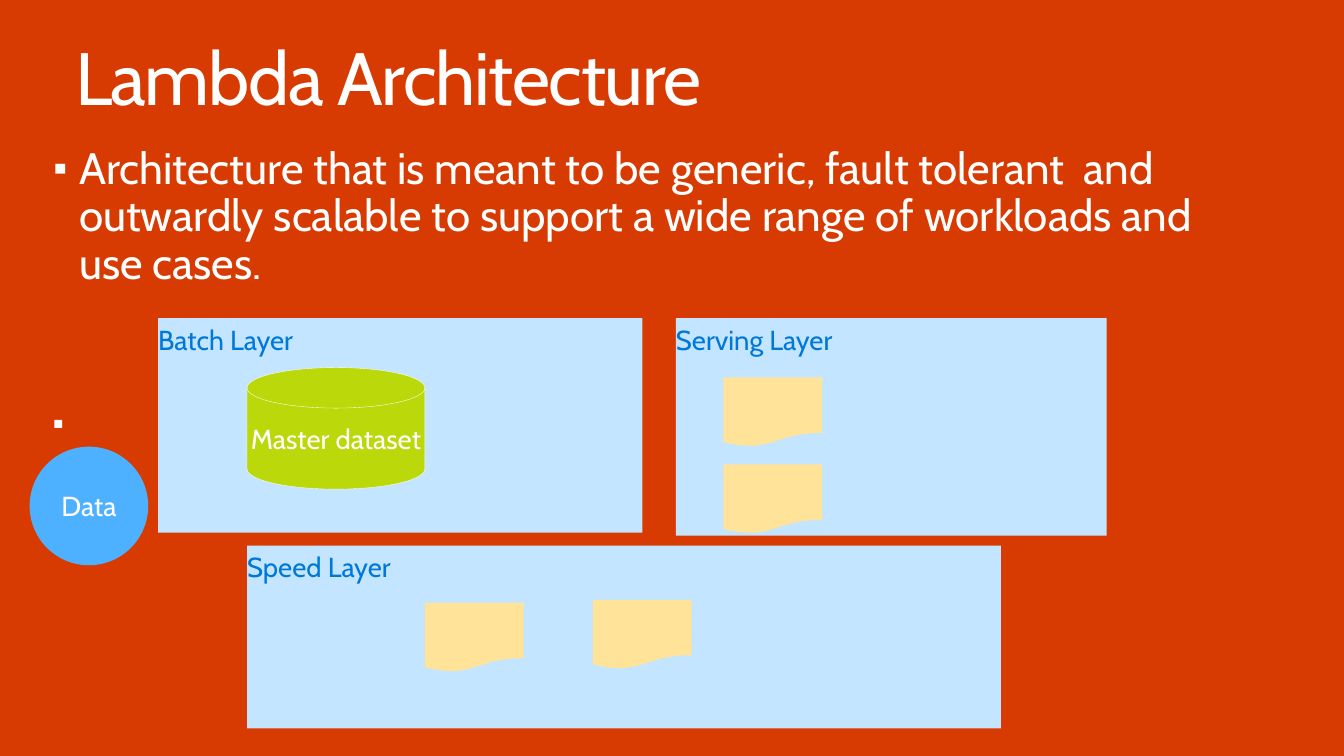
from lxml import etree
from pptx import Presentation
from pptx import util as u
from pptx.dml.color import RGBColor
from pptx.enum import shapes, text
from pptx.oxml.ns import qn

COLUMNS, ROWS = 136, 76.5  # grid of tenths of an inch
WHITE, ORANGE, BLUE = "FFFFFF", "D83B01", "0078D7"
PALE_BLUE, SKY, LIME, SAND = "C4E5FF", "4EB1FF", "BAD80A", "FFE399"


def color(value):
    return RGBColor.from_string(value)


def grid(*cells):
    return [u.Inches(cell / 10) for cell in cells]


class Board:
    """Holds the style and the slide being drawn."""

    font = "Cabin"

    def __init__(self, prs, background):
        self.slide = prs.slides.add_slide(prs.slide_layouts[6])
        fill = self.slide.background.fill
        fill.solid()
        fill.fore_color.rgb = color(background)

    def label(self, frame, words, size, ink, insets):
        frame.word_wrap = True
        frame.margin_left = frame.margin_right = u.Inches(insets[0])
        frame.margin_top = frame.margin_bottom = u.Inches(insets[1])
        line = frame.paragraphs[0]
        line.text = words
        line.font.name = self.font
        line.font.size = u.Pt(size)
        line.font.color.rgb = color(ink)
        return line

    def heading(self, place, words, size):
        box = self.slide.shapes.add_textbox(*grid(*place))
        line = self.label(box.text_frame, words, size, WHITE, (0.16, 0.1))
        line.line_spacing = 0.9
        return line

    def title(self, place, words):
        line = self.heading(place, words, 54)
        line.runs[0]._r.get_or_add_rPr().set("spc", "-100")

    def bullet(self, place, words):
        props = self.heading(place, words, 32)._p.get_or_add_pPr()
        props.set("marL", str(u.Inches(0.64)))
        props.set("indent", str(u.Inches(-0.26)))
        # Bullet marks must stand before the default run properties
        defaults = props.find(qn("a:defRPr"))
        ink = etree.Element(qn("a:buClr"))
        etree.SubElement(ink, qn("a:srgbClr"), val=WHITE)
        marks = (
            ink,
            etree.Element(qn("a:buSzPct"), val="90000"),
            etree.Element(qn("a:buFont"), typeface="Arial"),
            etree.Element(qn("a:buChar"), char="▪"),
        )
        for mark in marks:
            defaults.addprevious(mark)

    def block(self, kind, place, fill, border=None):
        block = self.slide.shapes.add_shape(kind, *grid(*place))
        block.shadow.inherit = False
        block.fill.solid()
        block.fill.fore_color.rgb = color(fill)
        if border:
            block.line.color.rgb = color(border)
            block.line.width = u.Pt(0.25)
        else:
            block.line.fill.background()
        return block

    def layer(self, place, name):
        block = self.block(shapes.MSO_SHAPE.RECTANGLE, place, PALE_BLUE)
        block.text_frame.vertical_anchor = text.MSO_ANCHOR.TOP
        line = self.label(block.text_frame, name, 20, BLUE, (0, 0.05))
        line.alignment = text.PP_ALIGN.LEFT

    def node(self, kind, place, name, fill, border=None):
        block = self.block(kind, place, fill, border)
        block.text_frame.vertical_anchor = text.MSO_ANCHOR.MIDDLE
        line = self.label(block.text_frame, name, 20, WHITE, (0, 0.05))
        line.alignment = text.PP_ALIGN.CENTER

    def view(self, column, row):
        self.block(shapes.MSO_SHAPE.FLOWCHART_DOCUMENT, (column, row, 10, 7), SAND)


def main():
    prs = Presentation()
    prs.slide_width, prs.slide_height = grid(COLUMNS, ROWS)
    board = Board(prs, ORANGE)

    # Batch layer, behind the headings
    board.layer((16, 32.2, 49, 21.7), "Batch Layer")

    # Title and definition
    board.title((6, 3.2, 130, 10), "Lambda Architecture")
    board.bullet(
        (0, 13.8, 126, 17.5),
        "Architecture that is meant to be generic, fault tolerant  and outwardly "
        "scalable to support a wide range of workloads and use cases.",
    )
    board.block(shapes.MSO_SHAPE.RECTANGLE, (5.5, 42.5, 0.8, 0.8), WHITE)

    # Data source and master dataset
    board.node(shapes.MSO_SHAPE.OVAL, (3, 45.2, 12, 12), "Data", SKY)
    board.node(shapes.MSO_SHAPE.FLOWCHART_MAGNETIC_DISK, (25, 37.2, 18, 12.3),
               "Master dataset", LIME, WHITE)

    # Serving layer with its views
    board.layer((68.4, 32.2, 43.6, 22), "Serving Layer")
    for row in (38.2, 47):
        board.view(73.2, row)

    # Speed layer with its views
    board.layer((25, 55.2, 76.3, 18.5), "Speed Layer")
    for column, row in ((43, 61), (60, 60.7)):
        board.view(column, row)

    prs.save("out.pptx")


if __name__ == "__main__":
    main()
